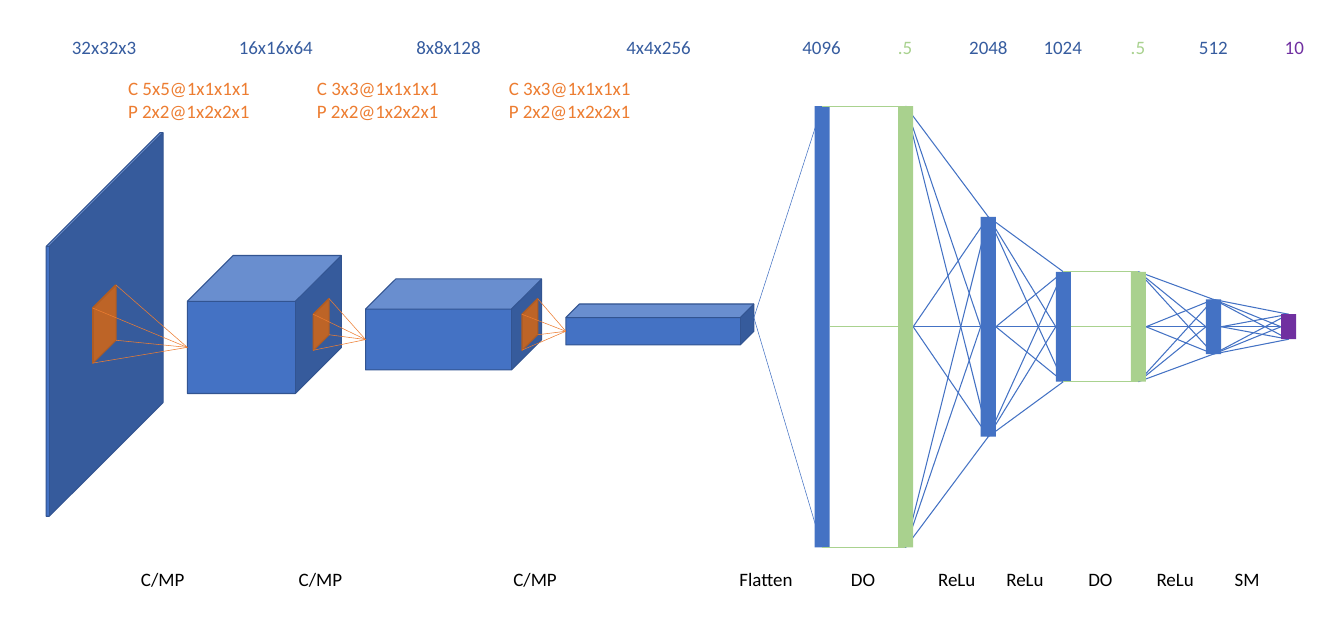
from dataclasses import dataclass
from itertools import product

from lxml import etree
from pptx import Presentation
from pptx.dml.color import RGBColor
from pptx.enum.shapes import MSO_CONNECTOR, MSO_SHAPE
from pptx.enum.text import MSO_AUTO_SIZE
from pptx.oxml.ns import qn
from pptx.shapes.autoshape import Shape
from pptx.shapes.connector import Connector
from pptx.slide import Slide
from pptx.util import Inches, Pt

CUBE = MSO_SHAPE.CUBE
RECTANGLE = MSO_SHAPE.RECTANGLE
STRAIGHT = MSO_CONNECTOR.STRAIGHT
FIT_SHAPE = MSO_AUTO_SIZE.SHAPE_TO_FIT_TEXT
TOP, LEFT, BOTTOM, RIGHT = range(4)

COLORS = {
    "blue": "4472C4",
    "blue_edge": "325491",
    "blue_text": "365C9F",
    "orange": "ED7D31",
    "orange_edge": "AF5C24",
    "green": "A9D18E",
    "green_line": "A9D28F",
    "green_text": "A9D28F",
    "purple": "7030A0",
    "purple_text": "7030A1",
    "black": "000000",
}
FONT_FORMAT = {"name": "Calibri", "size": Pt(18)}
FRAME_FORMAT = {"word_wrap": False, "auto_size": FIT_SHAPE}

AXIS_Y = 4.31
LAYER_WIDTH = 0.2
SIZE_ROW, KERNEL_ROW, OPERATION_ROW = 0.42, 0.96, 7.44


@dataclass(frozen=True)
class Cuboid:
    left: float
    top: float
    width: float
    height: float
    adjustment: float = 0.332
    color: str = "blue"

    @property
    def depth(self) -> float:
        return self.adjustment * min(self.width, self.height)

    @property
    def front_left(self) -> tuple[float, float]:
        return self.left, self.top + (self.depth + self.height) / 2

    @property
    def right_middle(self) -> tuple[float, float]:
        return self.left + self.width, self.top + (self.height - self.depth) / 2

    @property
    def side_corners(self) -> list[tuple[float, float]]:
        right, bottom = self.left + self.width, self.top + self.height
        return [
            (right, self.top),
            (self.left, self.top + self.depth),
            (self.left, bottom),
            (right, bottom - self.depth),
        ]


@dataclass(frozen=True)
class Layer:
    center: float
    height: float
    color: str = "blue"


@dataclass(frozen=True)
class Label:
    text: str
    left: float
    width: float
    top: float = OPERATION_ROW
    color: str = "black"
    height: float = 0.4


VOLUMES = [
    Cuboid(0.61, 1.75, 1.54, 5.06, 0.974),
    Cuboid(2.47, 3.37, 2.03, 1.82),
    Cuboid(4.82, 3.68, 2.32, 1.2),
    Cuboid(7.46, 4.01, 2.48, 0.54),
]
KERNELS = [
    Cuboid(1.22, 3.76, 0.31, 1.03, 0.974, "orange"),
    Cuboid(4.13, 3.94, 0.21, 0.68, 0.974, "orange"),
    Cuboid(6.88, 3.94, 0.21, 0.68, 0.974, "orange"),
]
LAYERS = [
    Layer(10.84, 5.82),
    Layer(11.94, 5.82, "green"),
    Layer(13.03, 2.9),
    Layer(14.02, 1.45),
    Layer(15.01, 1.45, "green"),
    Layer(16, 0.72),
    Layer(16.99, 0.33, "purple"),
]
OPERATIONS = [
    *(Label("C/MP", left, 0.78) for left in (1.76, 3.84, 6.67)),
    Label("Flatten", 9.65, 0.92),
    *(Label("DO", left, 0.52) for left in (11.12, 14.25)),
    *(Label("ReLu", left, 0.7) for left in (12.27, 13.17, 15.15)),
    Label("SM", 16.18, 0.53),
]
SIZES = [
    Label("32x32x3", 0.85, 1.06, SIZE_ROW, "blue_text"),
    Label("16x16x64", 3.05, 1.19, SIZE_ROW, "blue_text"),
    Label("8x8x128", 5.39, 1.06, SIZE_ROW, "blue_text"),
    Label("4x4x256", 8.16, 1.06, SIZE_ROW, "blue_text"),
    Label("4096", 10.48, 0.71, SIZE_ROW, "blue_text"),
    Label(".5", 11.74, 0.39, SIZE_ROW, "green_text"),
    Label("2048", 12.68, 0.71, SIZE_ROW, "blue_text"),
    Label("1024", 13.66, 0.71, SIZE_ROW, "blue_text"),
    Label(".5", 14.81, 0.39, SIZE_ROW, "green_text"),
    Label("512", 15.71, 0.59, SIZE_ROW, "blue_text"),
    Label("10", 16.84, 0.46, SIZE_ROW, "purple_text"),
]
KERNEL_LABELS = [
    Label(f"C {kernel}@1x1x1x1\nP 2x2@1x2x2x1", left, 1.82, KERNEL_ROW, "orange", 0.71)
    for kernel, left in (("5x5", 1.59), ("3x3", 4.08), ("3x3", 6.61))
]


def rgb(name: str) -> RGBColor:
    return RGBColor.from_string(COLORS[name])


def draw_cuboid(slide: Slide, cuboid: Cuboid) -> None:
    box = (cuboid.left, cuboid.top, cuboid.width, cuboid.height)
    shape = slide.shapes.add_shape(CUBE, *map(Inches, box))
    shape.adjustments[0] = cuboid.adjustment
    shape.shadow.inherit = False
    shape.fill.solid()
    shape.fill.fore_color.rgb = rgb(cuboid.color)
    shape.line.color.rgb = rgb(f"{cuboid.color}_edge")
    shape.line.width = Pt(1)


def draw_layer(slide: Slide, layer: Layer) -> Shape:
    box = (layer.center - LAYER_WIDTH / 2, AXIS_Y - layer.height / 2, LAYER_WIDTH, layer.height)
    shape = slide.shapes.add_shape(RECTANGLE, *map(Inches, box))
    shape.shadow.inherit = False
    shape.fill.solid()
    shape.fill.fore_color.rgb = rgb(layer.color)
    shape.line.fill.background()
    return shape


def draw_line(slide: Slide, start: tuple[float, float], end: tuple[float, float],
              color: str, width: float) -> Connector:
    connector = slide.shapes.add_connector(STRAIGHT, *map(Inches, (*start, *end)))
    connector.line.color.rgb = rgb(color)
    connector.line.width = Pt(width)
    etree.SubElement(connector.element.spPr, qn("a:effectLst"))
    return connector


def link_layers(slide: Slide, source: Shape, target: Shape, is_dropout: bool) -> None:
    """Join the sides one to one for dropout, and each with each otherwise."""
    starts, ends = (TOP, RIGHT, BOTTOM), (TOP, LEFT, BOTTOM)
    pairs = zip(starts, ends) if is_dropout else product(starts, ends)
    for start, end in pairs:
        connector = draw_line(slide, (0, 0), (1, 1), "green_line" if is_dropout else "blue", 1)
        connector.begin_connect(source, start)
        connector.end_connect(target, end)


def draw_label(slide: Slide, label: Label) -> None:
    box = (label.left, label.top, label.width, label.height)
    frame = slide.shapes.add_textbox(*map(Inches, box)).text_frame
    for name, value in FRAME_FORMAT.items():
        setattr(frame, name, value)
    frame.text = label.text
    for paragraph in frame.paragraphs:
        for name, value in FONT_FORMAT.items():
            setattr(paragraph.runs[0].font, name, value)
        paragraph.runs[0].font.color.rgb = rgb(label.color)


def main() -> None:
    presentation = Presentation()
    presentation.slide_width, presentation.slide_height = Inches(17.72), Inches(8.27)
    slide = presentation.slides.add_slide(presentation.slide_layouts[6])

    for cuboid in VOLUMES + KERNELS:
        draw_cuboid(slide, cuboid)
    for kernel, volume in zip(KERNELS, VOLUMES[1:]):
        for corner in kernel.side_corners:
            draw_line(slide, corner, volume.front_left, "orange", 0.5)

    shapes = [draw_layer(slide, layer) for layer in LAYERS]
    for side in (TOP, BOTTOM):
        connector = draw_line(slide, VOLUMES[-1].right_middle, (LAYERS[0].center, AXIS_Y), "blue", 0.5)
        connector.end_connect(shapes[0], side)
    for source, target, layer in zip(shapes, shapes[1:], LAYERS[1:]):
        link_layers(slide, source, target, layer.color == "green")
    for shape, layer in zip(shapes, LAYERS):
        if layer.color != "blue":  # these layers lie above the lines
            shape.element.getparent().append(shape.element)

    for label in OPERATIONS + SIZES + KERNEL_LABELS:
        draw_label(slide, label)
    presentation.save("out.pptx")


if __name__ == "__main__":
    main()
